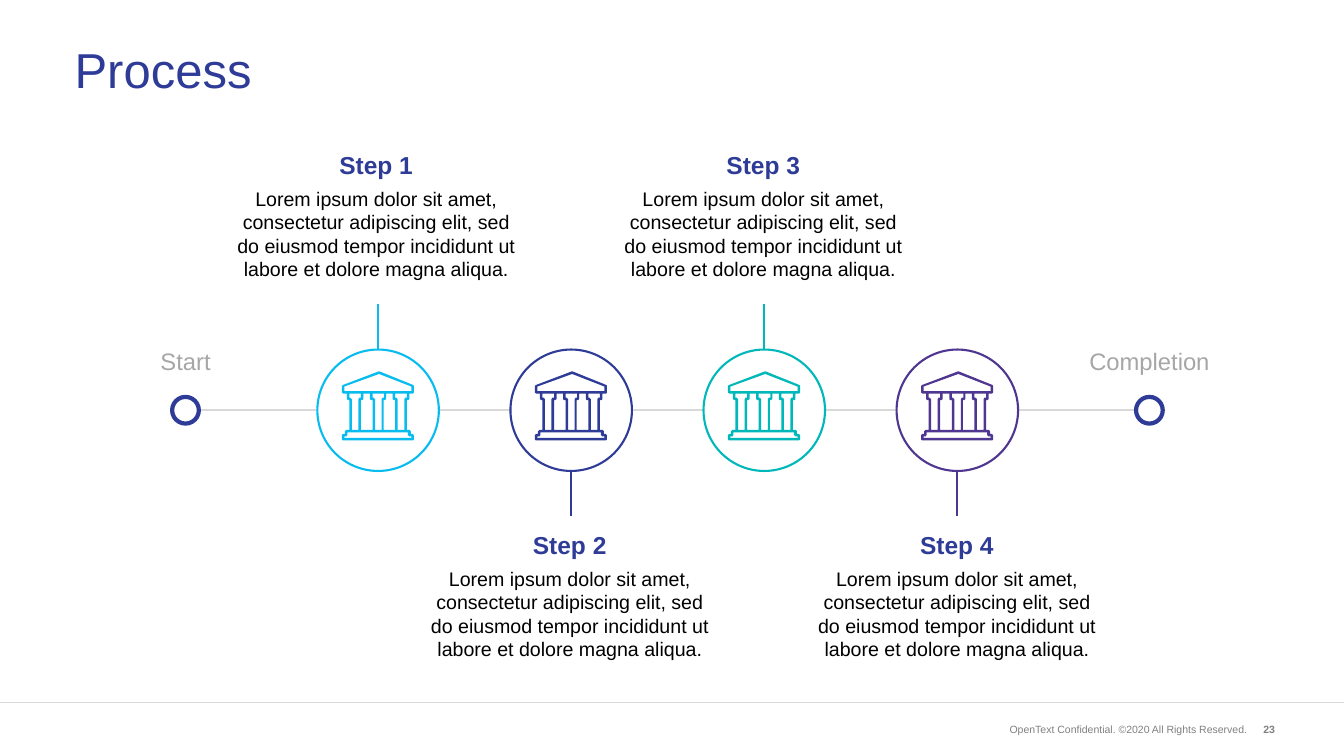
from dataclasses import dataclass

from lxml import etree
from pptx import Presentation
from pptx import util as u
from pptx.dml.color import RGBColor
from pptx.enum import shapes, text
from pptx.oxml.ns import qn

MID, LEFT, RIGHT = text.PP_ALIGN.CENTER, text.PP_ALIGN.LEFT, text.PP_ALIGN.RIGHT
TOP, HALF = text.MSO_ANCHOR.TOP, text.MSO_ANCHOR.MIDDLE
LOREM = ("Lorem ipsum dolor sit amet, consectetur adipiscing elit, sed do "
         "eiusmod tempor incididunt ut labore et dolore magna aliqua.")

SHELL = [(141, 124), (137, 124), (137, 119), (135, 116), (129, 116), (129, 57),
         (132, 57), (134, 55), (134, 44), (141, 44), (143, 42), (143, 29),
         (142, 27), (75, 0), (73, 0), (2, 27), (0, 29), (0, 42), (3, 44),
         (10, 44), (10, 55), (13, 57), (15, 57), (15, 116), (9, 116), (6, 119),
         (6, 124), (2, 124), (0, 127), (0, 135), (2, 137), (141, 137),
         (143, 135), (143, 127)]
ROOF = [(5, 30), (74, 5), (138, 30), (138, 39), (5, 39)]
BASE = [(5, 132), (5, 129), (9, 129), (11, 126), (11, 121), (131, 121),
        (131, 126), (134, 129), (138, 129), (138, 132)]
POST = [(0, 44), (23, 44), (23, 52), (20, 52), (18, 55), (18, 116), (5, 116),
        (5, 55), (2, 52), (0, 52)]
GAP = [(5, 44), (18, 44), (18, 55), (20, 57), (23, 57), (23, 116), (0, 116),
       (0, 57), (2, 57), (5, 55)]


@dataclass(frozen=True)
class Theme:
    font: str = "Arial"
    navy: str = "2E3C98"
    sky: str = "09BCEF"
    teal: str = "00B8BA"
    plum: str = "4F3690"
    white: str = "FFFFFF"
    black: str = "000000"
    rule: str = "D9D9D9"
    pale: str = "A6A6A6"
    grey: str = "808080"
    title: int = 70
    head: int = 35
    label: int = 34
    body: int = 28
    small: int = 15


def shift(points, dx):
    return [(x + dx, y) for x, y in points]


class Deck:
    """Draw styled elements on the current slide."""

    def __init__(self, theme, width, height):
        self.theme = theme
        self.prs = Presentation()
        self.prs.slide_width = u.Inches(width)
        self.prs.slide_height = u.Inches(height)
        self.slide = self.prs.slides.add_slide(self.prs.slide_layouts[5])

    def fit(self, shape, words, size, color, align, bold=False, anchor=TOP, wrap=True):
        frame = shape.text_frame
        frame.text = words
        frame.word_wrap = wrap
        frame.auto_size = text.MSO_AUTO_SIZE.NONE
        frame.vertical_anchor = anchor
        line = frame.paragraphs[0]
        line.alignment = align
        font = line.runs[0].font
        font.name, font.size, font.bold = self.theme.font, u.Pt(size), bold
        font.color.rgb = RGBColor.from_string(color)
        return line

    def title(self, words, x, y, w, h):
        shape = self.slide.shapes.title
        shape.left, shape.top, shape.width, shape.height = map(u.Inches, (x, y, w, h))
        line = self.fit(shape, words, self.theme.title, self.theme.navy, LEFT, anchor=HALF)
        line.line_spacing = 0.9

    def text(self, words, x, y, w, h, size, color, align=MID, **style):
        box = self.slide.shapes.add_textbox(*map(u.Inches, (x, y, w, h)))
        self.fit(box, words, size, color, align, **style)

    def line(self, x1, y1, x2, y2, color, width=3):
        ends = map(u.Inches, (x1, y1, x2, y2))
        link = self.slide.shapes.add_connector(shapes.MSO_CONNECTOR.STRAIGHT, *ends)
        link.line.color.rgb = RGBColor.from_string(color)
        link.line.width = u.Pt(width)
        etree.SubElement(link._element.spPr, qn("a:effectLst"))

    def ring(self, x, y, size, color, width):
        spot = map(u.Inches, (x - size / 2, y - size / 2, size, size))
        shape = self.slide.shapes.add_shape(shapes.MSO_SHAPE.OVAL, *spot)
        shape.shadow.inherit = False
        shape.fill.solid()
        shape.fill.fore_color.rgb = RGBColor.from_string(self.theme.white)
        shape.line.color.rgb = RGBColor.from_string(color)
        shape.line.width = u.Pt(width)

    def bank(self, x, y, color):
        holes = [ROOF, BASE]
        holes += [shift(POST, dx) for dx in (15, 61, 106)]
        holes += [shift(GAP, dx) for dx in (38, 83)]
        pen = self.slide.shapes.build_freeform(*SHELL[0], scale=u.Inches(0.01))
        pen.add_line_segments(SHELL[1:])
        for hole in holes:
            pen.move_to(*hole[0])
            pen.add_line_segments(hole[1:])
        shape = pen.convert_to_shape(u.Inches(x), u.Inches(y))
        shape.shadow.inherit = False
        shape.fill.solid()
        shape.fill.fore_color.rgb = RGBColor.from_string(color)
        shape.line.fill.background()

    def step(self, order, x, y, size, color):
        above = order % 2 == 0
        edge = y - size / 2 if above else y + size / 2
        self.ring(x, y, size, color, 3)
        self.line(x, edge, x, edge + (-0.91 if above else 0.89), color)
        self.bank(x - 0.72, y - 0.77, color)
        mid, top = 7.46 + 3.84 * order, 2.93 if above else 10.47
        t = self.theme
        self.text(f"Step {order + 1}", mid - 1.26, top, 2.52, 0.69, t.head, t.navy, bold=True)
        self.text(LOREM, mid - 2.88, top + 0.72, 5.76, 1.99, t.body, t.black)


def main():
    t = Theme()
    deck = Deck(t, 26.66, 15)
    deck.text("OpenText Confidential. ©2020 All Rights Reserved.", 19.47, 14.3, 5.37, 0.35,
              t.small, t.grey, RIGHT, anchor=HALF)
    deck.text("23", 24.68, 14.3, 0.71, 0.35, t.small, t.grey, RIGHT, bold=True)
    deck.line(0, 13.94, 26.66, 13.94, t.rule, 1)
    deck.title("Process", 1.38, 0.38, 23.91, 2.12)

    axis, big, dot = 8.14, 2.41, 0.53
    first, last = 3.68, 22.8
    hues = [t.sky, t.navy, t.teal, t.plum]
    spots = [7.5 + 3.83 * i for i in range(len(hues))]
    nodes = [(first, dot), *((x, big) for x in spots), (last, dot)]
    for (x1, size1), (x2, size2) in zip(nodes, nodes[1:]):
        deck.line(x1 + size1 / 2, axis, x2 - size2 / 2, axis, t.rule)
    for x, words, width in ((first, "Start", 1.21), (last, "Completion", 2.61)):
        deck.ring(x, axis, dot, t.navy, 6)
        deck.text(words, x - width / 2, 6.84, width, 0.67, t.label, t.pale, wrap=False)
    for order, (x, hue) in enumerate(zip(spots, hues)):
        deck.step(order, x, axis, big, hue)
    deck.prs.save("out.pptx")


if __name__ == "__main__":
    main()
